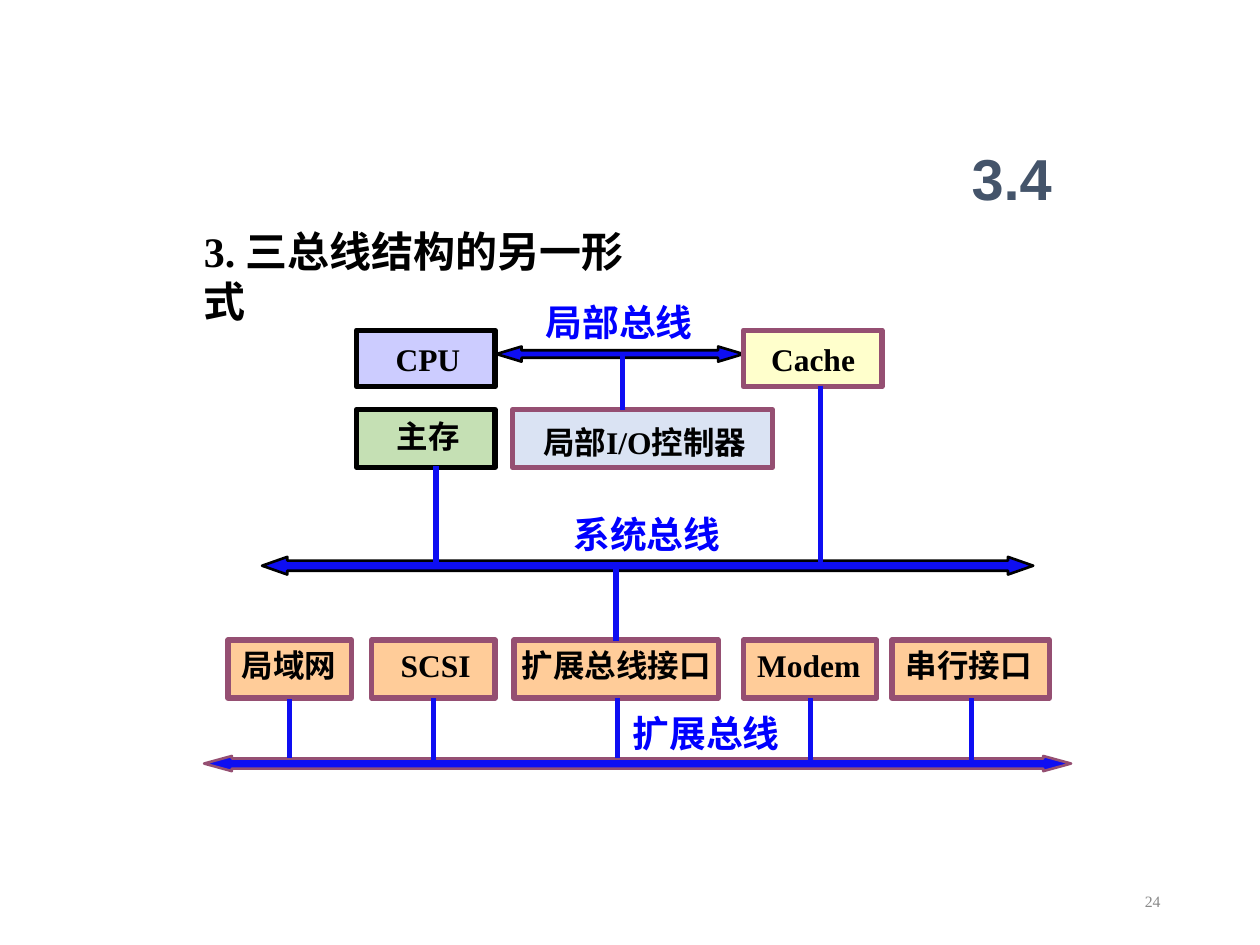
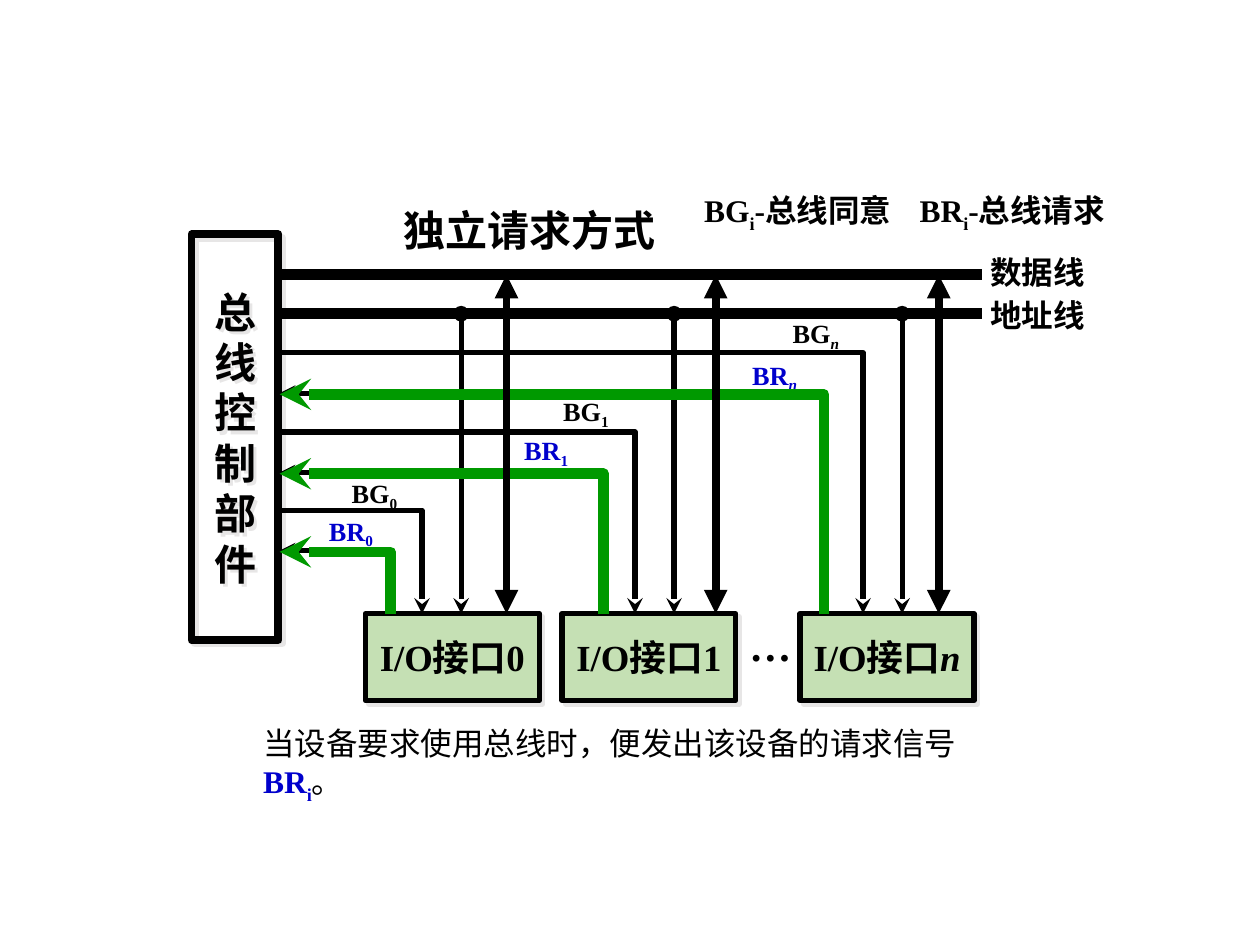
from lxml import etree
from pptx import Presentation
from pptx.dml.color import RGBColor
from pptx.enum.shapes import MSO_CONNECTOR, MSO_SHAPE
from pptx.enum.text import MSO_ANCHOR, MSO_AUTO_SIZE, PP_ALIGN
from pptx.oxml.ns import qn
from pptx.util import Cm, Pt

LEFT, MID, RIGHT = PP_ALIGN.LEFT, PP_ALIGN.CENTER, PP_ALIGN.RIGHT
TOP, CENTRE = MSO_ANCHOR.TOP, MSO_ANCHOR.MIDDLE
RECT, LINE = MSO_SHAPE.RECTANGLE, MSO_CONNECTOR.STRAIGHT
FIXED = MSO_AUTO_SIZE.NONE

TIMES, ARIAL, NOTO = "Times New Roman", "Arial", "Noto Sans CJK SC"
BLACK, BLUE, BUS, NAVY = "000000", "0000FF", "0E0EF2", "0000CC"
PLUM, PEACH, LEAF, GREEN = "954F72", "FFCC99", "C5E0B4", "009900"
SHADE, SLATE, GREY = "E7E6E6", "44546A", "898989"

# Slide 1 content; all places are in inches
HEAD = "3. 三总线结构的另一形式"
# name, left, top, width, height, fill, edge, text offset
UNITS = [
    ("CPU", 2.83, 2.62, 1.1, 0.45, "CCCCFF", BLACK, (0.31, 0.08)),
    ("Cache", 5.9, 2.62, 1.1, 0.45, "FFFFCC", PLUM, (0.22, 0.08)),
    ("主存", 2.83, 3.25, 1.1, 0.46, LEAF, BLACK, (0.32, 0.06)),
    ("局部I/O控制器", 4.07, 3.25, 2.06, 0.46, "DAE3F3", PLUM, (0.24, 0.11)),
]
# name, left, width, text offset
PORTS = [("局域网", 1.81, 0.98, 0.11), ("SCSI", 2.95, 0.98, 0.23),
         ("扩展总线接口", 4.08, 1.62, 0.06), ("Modem", 5.9, 1.06, 0.11),
         ("串行接口", 7.08, 1.25, 0.11)]
UNITS += [(name, x, 5.08, w, 0.46, PEACH, PLUM, (dx, 0.05))
          for name, x, w, dx in PORTS]
# name, label place, left, right, middle, half tip, half bar, tip length, edge
BUSES = [
    ("局部总线", (4.33, 2.38), 3.94, 5.9, 2.81, 0.06, 0.03, 0.2, BLACK),
    ("系统总线", (4.55, 4.06), 2.08, 8.2, 4.49, 0.07, 0.04, 0.2, BLACK),
    ("扩展总线", (5.02, 5.64), 1.62, 8.5, 6.06, 0.06, 0.04, 0.22, PLUM),
]
# x, top, bottom
WIRES = [(4.94, 2.81, 3.25), (3.46, 3.7, 4.51), (6.51, 3.06, 4.5),
         (4.89, 4.5, 5.09), (2.3, 5.55, 6.02), (3.44, 5.54, 6.06),
         (4.9, 5.54, 6.02), (6.43, 5.54, 6.06), (7.71, 5.54, 6.06)]

# Slide 2 content
MODE = "独立请求方式"
UNIT = "总线控制部件"
ITAL = {"italic": True}
# index, style, box left, x of BR, BG, address and data, y of BG, labels
PARTS = [
    ("0", {}, 2.9, 3.1, 3.35, 3.66, 4.02, 4.05, (2.61, 4.09), (2.79, 3.79)),
    ("1", {}, 4.46, 4.79, 5.04, 5.35, 5.68, 3.43, (4.16, 3.45), (4.47, 3.14)),
    ("n", ITAL, 6.35, 6.54, 6.85, 7.16, 7.45, 2.8, (5.97, 2.85), (6.29, 2.52)),
]
TRUNKS = [("数据线", 2.18, 1.96), ("地址线", 2.49, 2.3)]
KEYS = [("BG", "-总线同意", 5.49), ("BR", "-总线请求", 7.2)]
BASE, EDGE, DROP = 4.87, 2.22, 0.32
SUB = {"base": -25}
NOTE = [("当设备要求使用总线时，便发出该设备的请求信号", {}),
        ("BR", {"color": NAVY, "bold": True}),
        ("i", {"color": NAVY, "bold": True, "base": -25}), ("。", {})]


def inch(val):
    return Cm(2.54 * val)


def rgb(code):
    return RGBColor.from_string(code)


def write(shape, paras, size, color=BLACK, face=TIMES, bold=True, align=LEFT,
          anchor=TOP, pad=(0.1, 0.05), wrap=True):
    """Fill a shape with paragraphs: strings, or lists of (text, style)."""
    frame = shape.text_frame
    frame.auto_size, frame.word_wrap = FIXED, wrap
    frame.vertical_anchor = anchor
    frame.margin_left, frame.margin_top = map(inch, pad)
    frame.margin_right = inch(min(pad[0], 0.1) if align != LEFT or pad[0] == 0.1 else 0)
    frame.margin_bottom = inch(min(pad[1], 0.05))
    for num, item in enumerate(paras):
        para = frame.add_paragraph() if num else frame.paragraphs[0]
        para.alignment = align
        font = para.font
        font.name, font.size, font.bold = face, Pt(size), bold
        font.color.rgb = rgb(color)
        etree.SubElement(font._rPr, qn("a:ea"), typeface=NOTO)
        for words, style in [(item, {})] if isinstance(item, str) else item:
            run = para.add_run()
            run.text = words
            if "italic" in style:
                run.font.italic = True
            if "bold" in style:
                run.font.bold = True
            if "color" in style:
                run.font.color.rgb = rgb(style["color"])
            if "base" in style:
                run._r.get_or_add_rPr().set("baseline", str(style["base"] * 1000))


def place(shape, box):
    shape.left, shape.top, shape.width, shape.height = map(inch, box)


def text(slide, box, paras, size, **look):
    write(slide.shapes.add_textbox(*map(inch, box)), paras, size, **look)


def paint(shape, fill, edge, width):
    shape.shadow.inherit = False
    if fill:
        shape.fill.solid()
        shape.fill.fore_color.rgb = rgb(fill)
    else:
        shape.fill.background()
    shape.line.color.rgb = rgb(edge)
    shape.line.width = Pt(width)


def block(slide, box, fill, edge, width):
    shape = slide.shapes.add_shape(RECT, *map(inch, box))
    paint(shape, fill, edge, width)
    return shape


def shade(shape):
    """Cast a hard grey shadow down and to the right."""
    effect = shape._element.spPr.find(qn("a:effectLst"))
    cast = etree.SubElement(effect, qn("a:outerShdw"), dist=str(Pt(2.8)),
                            dir="2700000", algn="ctr", rotWithShape="0")
    etree.SubElement(cast, qn("a:srgbClr"), val=SHADE)


def tips(shape, head, tail):
    ln = shape.line._get_or_add_ln()
    for tag, kind in (("a:headEnd", head), ("a:tailEnd", tail)):
        if kind:
            etree.SubElement(ln, qn(tag), type=kind)


def wire(slide, start, end, color, width, head=None, tail=None):
    line = slide.shapes.add_connector(LINE, *map(inch, start + end))
    line.line.color.rgb = rgb(color)
    line.line.width = Pt(width)
    tips(line, head, tail)
    etree.SubElement(line._element.spPr, qn("a:effectLst"))


def trace(slide, pts, closed, fill, edge, width):
    pts = [(inch(x), inch(y)) for x, y in pts]
    pen = slide.shapes.build_freeform(*pts[0])
    pen.add_line_segments(pts[1:], close=closed)
    shape = pen.convert_to_shape()
    paint(shape, fill, edge, width)
    return shape


def bend(slide, x, y, color, width, head=None, tail=None):
    """Run from the control unit across, then down to an interface."""
    drop = y - BASE
    pts = [(EDGE, y), (x, y), (x, y - drop)]
    tips(trace(slide, pts, False, None, color, width), head, tail)


def arrow(slide, x0, x1, y, tip, bar, size, edge):
    left, right = x0 + size, x1 - size
    pts = [(x0, y), (left, y + tip), (left, y + bar), (right, y + bar),
           (right, y + tip), (x1, y), (right, y - tip), (right, y - bar),
           (left, y - bar), (left, y - tip)]
    trace(slide, pts, True, BUS, edge, 1.5)


def start(deck, name, box, size, **look):
    slide = deck.slides.add_slide(deck.slide_layouts[5])
    place(slide.shapes.title, box)
    write(slide.shapes.title, [name], size, **look)
    return slide


def buses(deck):
    slide = start(deck, "3.4", (7.56, 1.06, 0.94, 0.69), 33, color=SLATE,
                  face=ARIAL, align=MID, anchor=CENTRE, pad=(0.08, 0.04))
    text(slide, (1.52, 1.74, 3.8, 0.5), [HEAD], 24)
    # Buses and their labels
    for name, spot, *shape in BUSES:
        arrow(slide, *shape)
        text(slide, (*spot, 1.18, 0.35), [name], 21, color=BLUE, face=NOTO,
             pad=(0, 0), wrap=False)
    # Units and the wires between them
    for name, x, y, w, h, fill, edge, pad in UNITS:
        face = TIMES if any(c.isascii() for c in name) else NOTO
        write(block(slide, (x, y, w, h), fill, edge, 3), [name], 18,
              face=face, pad=pad)
    for x, top, end in WIRES:
        wire(slide, (x, top), (x, end), BUS, 3)
    text(slide, (7.06, 6.95, 2.25, 0.4), ["24"], 9, color=GREY, bold=False,
         align=RIGHT, anchor=CENTRE)


def requests(deck):
    slide = start(deck, MODE, (3.1, 1.57, 2.23, 0.5), 24, wrap=False)
    # Control unit, trunk lines and key
    unit = block(slide, (1.52, 1.86, 0.69, 3.22), None, BLACK, 4.5)
    shade(unit)
    write(unit, list(UNIT), 24, align=MID, anchor=CENTRE, wrap=False)
    for name, y, top in TRUNKS:
        wire(slide, (2.21, y), (7.79, y), BLACK, 6)
        text(slide, (7.76, top, 0.96, 0.4), [name], 18, wrap=False)
    for sign, name, x in KEYS:
        text(slide, (x, 1.47, 1.85, 0.4),
             [[(sign, {}), ("i", SUB), (name, {})]], 18, wrap=False)
    # Interfaces with their grant, request and address lines
    for mark, style, x, br, bg, addr, data, y, ask, give in PARTS:
        port = block(slide, (x, BASE, 1.38, 0.69), LEAF, BLACK, 3)
        shade(port)
        write(port, [[("I/O接口", {}), (mark, style)]], 21, align=MID,
              anchor=CENTRE, wrap=False)
        bend(slide, bg, y, BLACK, 3, tail="stealth")
        bend(slide, br, y + DROP, BLACK, 3, head="stealth")
        wire(slide, (addr, 2.49), (addr, BASE), BLACK, 3, "oval", "stealth")
        for sign, spot, color in (("BR", ask, NAVY), ("BG", give, BLACK)):
            text(slide, (*spot, 0.69, 0.25),
                 [[(sign, {}), (mark, {**style, "base": -20})]], 15,
                 color=color, pad=(0, 0))
    text(slide, (5.85, 4.87, 0.54, 0.51), ["…"], 24, wrap=False)
    # Green requests, then data lines, on top
    for part in PARTS:
        bend(slide, part[3], part[7] + DROP + 0.01, GREEN, 6, head="stealth")
    for part in PARTS:
        x = part[6]
        wire(slide, (x, 2.18), (x, BASE), BLACK, 4.5, "triangle", "triangle")
    text(slide, (1.99, 5.7, 6.32, 0.4), [NOTE], 18, bold=False)


def main():
    deck = Presentation()
    deck.slide_width, deck.slide_height = inch(10), inch(7.5)
    buses(deck)
    requests(deck)
    deck.save("out.pptx")


if __name__ == "__main__":
    main()
